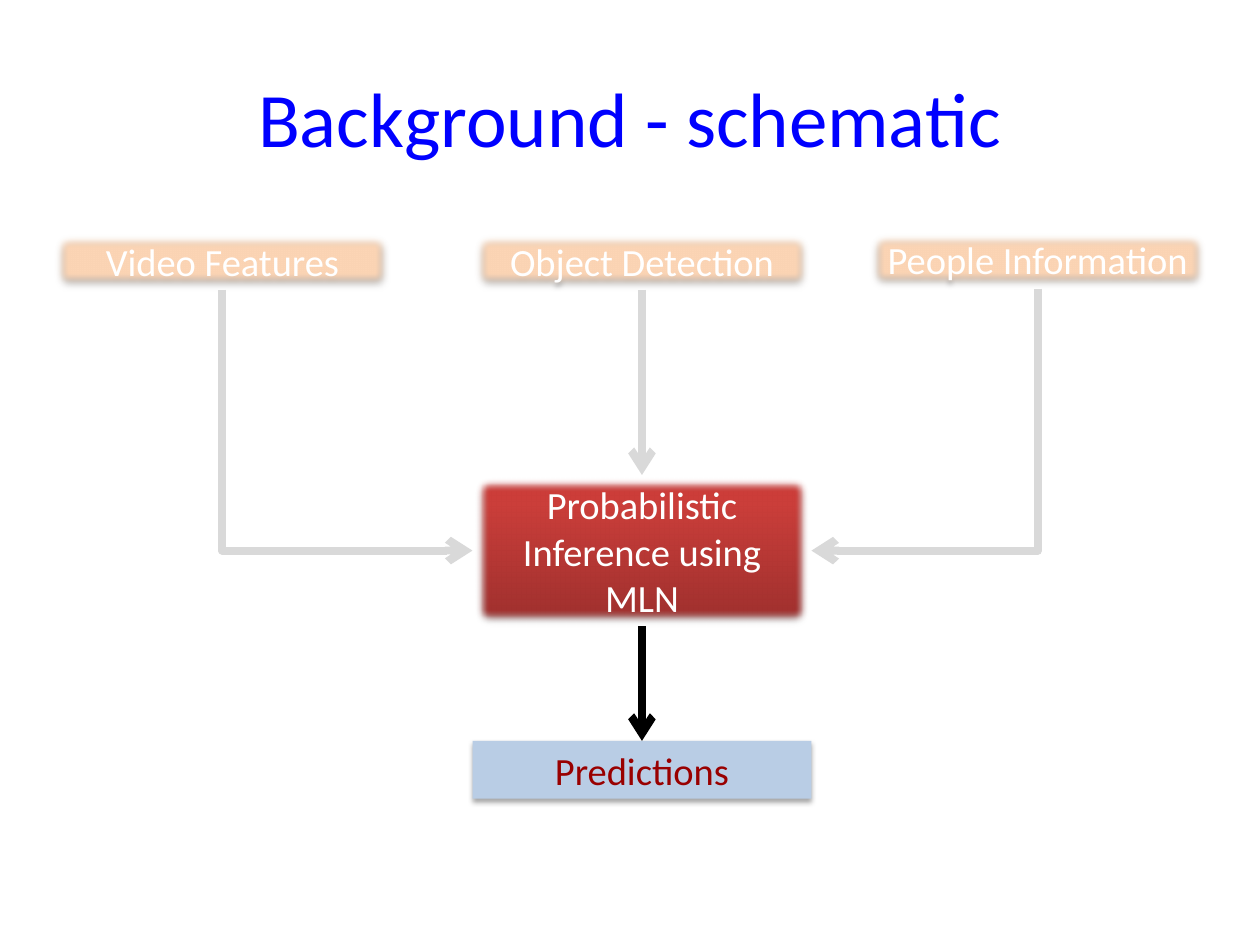
from copy import deepcopy
from dataclasses import dataclass

from lxml import etree
from pptx import Presentation
from pptx import util as u
from pptx.dml.color import RGBColor
from pptx.enum import shapes, text
from pptx.oxml.ns import qn


@dataclass(frozen=True)
class Theme:
    """Colours, font and type sizes of the slide."""
    font: str = "Calibri"
    title_size: int = 44
    box_size: int = 22
    line_width: float = 4.5
    title: str = "0000FF"
    light: str = "FFFFFF"
    dark: str = "000000"
    faded_line: str = "D9D9D9"
    source: str = "FCD5B5"
    result: str = "B9CDE5"
    result_text: str = "990000"
    model: tuple = ((0, "9C2F2D"), (0.8, "CB3E3A"), (1, "CE3B37"))


def add_xml(parent, tag, **attrs):
    """Append a drawing element and return it."""
    return etree.SubElement(parent, qn(tag), attrs)


class Diagram:
    """Draws diagram elements on one slide in one style."""

    def __init__(self, slide, theme):
        """Keep the slide and the theme."""
        self.slide, self.theme = slide, theme

    def set_font(self, p, size, color):
        """Style one centred paragraph."""
        p.alignment = text.PP_ALIGN.CENTER
        p.font.name, p.font.size = self.theme.font, u.Pt(size)
        p.font.color.rgb = RGBColor.from_string(color)

    def title(self, words, x, y, w, h):
        """Place and format the title placeholder."""
        sp = self.slide.shapes.title
        sp.left, sp.top, sp.width, sp.height = map(u.Inches, (x, y, w, h))
        tf = sp.text_frame
        tf.text, tf.vertical_anchor = words, text.MSO_ANCHOR.MIDDLE
        self.set_font(tf.paragraphs[0], self.theme.title_size, self.theme.title)

    def gradient(self, sp, stops):
        """Fill a shape with a gradient that rises from the bottom."""
        sp.fill.gradient()
        sp.fill.gradient_angle = 90
        gs_list = sp.fill.gradient_stops[0]._gs.getparent()
        while len(gs_list) < len(stops):
            gs_list.append(deepcopy(gs_list[0]))
        for stop, (position, color) in zip(sp.fill.gradient_stops, stops):
            stop.position = position
            stop.color.rgb = RGBColor.from_string(color)

    def effects(self, sp, soft):
        """Give a shape a drop shadow and, if asked, soft edges."""
        sp.shadow.inherit = False
        effects = sp._element.spPr.find(qn("a:effectLst"))
        shadow = add_xml(effects, "a:outerShdw", blurRad=str(u.Pt(3.1)),
                         dist=str(u.Pt(1.8)), dir="5400000", rotWithShape="0")
        color = add_xml(shadow, "a:srgbClr", val=self.theme.dark)
        add_xml(color, "a:alpha", val="35000")
        if soft:
            add_xml(effects, "a:softEdge", rad=str(u.Pt(5)))

    def box(self, words, x, y, w, h, fill, color, soft=True):
        """Add a labelled box with a plain or gradient fill."""
        sp = self.slide.shapes.add_shape(shapes.MSO_SHAPE.RECTANGLE,
                                         *map(u.Inches, (x, y, w, h)))
        if isinstance(fill, str):
            sp.fill.solid()
            sp.fill.fore_color.rgb = RGBColor.from_string(fill)
        else:
            self.gradient(sp, fill)
        sp.line.fill.background()
        self.effects(sp, soft)
        tf = sp.text_frame
        tf.text, tf.word_wrap = words, True
        tf.auto_size = text.MSO_AUTO_SIZE.SHAPE_TO_FIT_TEXT
        tf.vertical_anchor = text.MSO_ANCHOR.MIDDLE
        tf.margin_left = tf.margin_right = u.Inches(0.09)
        tf.margin_top = tf.margin_bottom = u.Inches(0.05)
        self.set_font(tf.paragraphs[0], self.theme.box_size, color)

    def arrow(self, x1, y1, x2, y2, color, kind=shapes.MSO_CONNECTOR.STRAIGHT):
        """Add a connector with an arrowhead at its end."""
        line = self.slide.shapes.add_connector(
            kind, *map(u.Inches, (x1, y1, x2, y2)))
        line.line.width = u.Pt(self.theme.line_width)
        line.line.color.rgb = RGBColor.from_string(color)
        add_xml(line.line._get_or_add_ln(), "a:tailEnd", type="arrow")
        add_xml(line._element.spPr, "a:effectLst")
        return line

    def bent_arrow(self, x1, y1, x2, y2, color):
        """Add an arrow that runs down and then sideways."""
        side = 1 if x2 > x1 else -1
        cx, cy = (x1 + x2) / 2, (y1 + y2) / 2
        half_w, half_h = (y2 - y1) / 2, abs(x2 - x1) / 2
        line = self.arrow(cx + side * half_w, cy - half_h,
                          cx - side * half_w, cy + half_h,
                          color, shapes.MSO_CONNECTOR.ELBOW)
        sp_pr = line._element.spPr
        sp_pr.find(qn("a:prstGeom")).set("prst", "bentConnector2")
        turn = 270 if side > 0 else 90
        sp_pr.find(qn("a:xfrm")).set("rot", str(turn * 60000))


def main():
    """Build the slide and save it."""
    prs = Presentation()
    prs.slide_width, prs.slide_height = u.Inches(10), u.Inches(7.5)
    theme = Theme()
    d = Diagram(prs.slides.add_slide(prs.slide_layouts[5]), theme)
    d.title("Background - schematic", 0.5, 0.3, 9, 1.25)

    box_w, box_h = 2.69, 0.46
    mid_x, source_y = 3.75, 1.84
    model_y, model_h, result_y = 3.77, 1.2, 5.88
    center_x, model_mid = mid_x + box_w / 2, model_y + model_h / 2
    source_end = source_y + box_h

    sources = (("Video Features", 0.42, source_y),
               ("Object Detection", mid_x, source_y),
               ("People Information", 6.89, 1.83))
    for words, x, y in sources:
        d.box(words, x, y, box_w, box_h, theme.source, theme.light)
    d.box("Predictions", mid_x, result_y, box_w, box_h,
          theme.result, theme.result_text, soft=False)
    d.box("Probabilistic Inference using MLN", mid_x, model_y, box_w, model_h,
          theme.model, theme.light)

    for (_, x, y), target_x in ((sources[0], mid_x), (sources[2], mid_x + box_w)):
        d.bent_arrow(x + box_w / 2, y + box_h, target_x, model_mid,
                     theme.faded_line)
    d.arrow(center_x, source_end, center_x, model_y, theme.faded_line)
    d.arrow(center_x, model_y + model_h, center_x, result_y, theme.dark)
    prs.save("out.pptx")


main()
